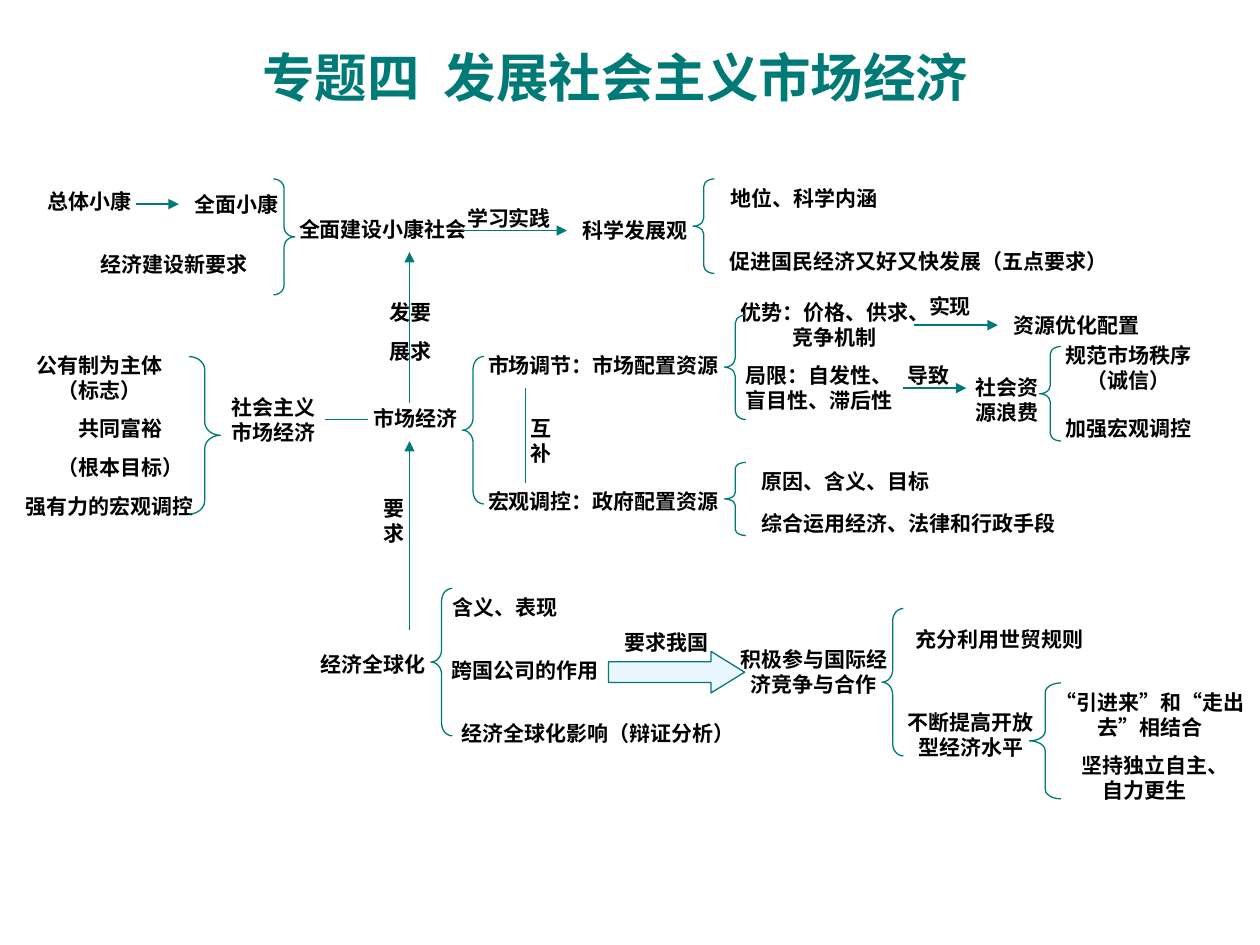
from lxml.etree import SubElement
from pptx import Presentation
from pptx.dml.color import RGBColor
from pptx.enum.shapes import MSO_CONNECTOR, MSO_SHAPE as SHAPE
from pptx.enum.text import MSO_AUTO_SIZE, PP_ALIGN as ALIGN
from pptx.oxml.ns import qn
from pptx.util import Inches, Pt

TEAL = RGBColor(0x00, 0x7A, 0x77)
PALE_BLUE = RGBColor(0xEB, 0xF7, 0xFF)
BLACK = RGBColor(0, 0, 0)
LINE_WIDTH = Pt(0.75)
LEFT_SIDE = 1

TITLE = ("专题四  发展社会主义市场经济", 1.85, 0.31, 6.07, 0.6)

# text, left, top, width
LABELS = [
    # moderately prosperous society
    ("总体小康", 0.25, 1.45, 0.92),
    ("全面小康", 1.42, 1.47, 0.92),
    ("经济建设新要求", 0.67, 1.95, 1.42),
    ("全面建设小康社会", 2.25, 1.67, 1.58),
    ("学习实践", 3.58, 1.58, 0.92),
    ("科学发展观", 4.5, 1.68, 1.08),
    ("地位、科学内涵", 5.67, 1.42, 1.42),
    ("促进国民经济又好又快发展（五点要求）", 5.58, 1.92, 3.42),
    # socialist market economy
    ("强有力的宏观调控", 0.08, 3.87, 1.58),
    ("市场经济", 2.84, 3.17, 0.91),
    ("市场调节：市场配置资源", 3.75, 2.75, 2.08),
    ("宏观调控：政府配置资源", 3.75, 3.83, 2.08),
    ("实现", 7.25, 2.28, 0.58),
    ("资源优化配置", 7.92, 2.43, 1.25),
    ("导致", 7.08, 2.83, 0.58),
    ("加强宏观调控", 8.33, 3.25, 1.25),
    ("原因、含义、目标", 5.92, 3.67, 1.58),
    ("综合运用经济、法律和行政手段", 5.92, 4, 2.58),
    # globalisation
    ("经济全球化", 2.42, 5.12, 1.08),
    ("含义、表现", 3.42, 4.67, 1.17),
    ("跨国公司的作用", 3.42, 5.17, 1.5),
    ("经济全球化影响（辩证分析）", 3.33, 5.67, 2.83),
    ("要求我国", 4.83, 4.95, 0.92),
]
LEFT_ALIGNED_LABEL = ("充分利用世贸规则", 7.17, 4.92, 1.58)

WRAPPED_LABELS = [
    ("公有制为主体（标志）", 0.08, 2.75, 1.42),
    ("社会主义市场经济", 1.67, 3.08, 1),
    ("优势：价格、供求、竞争机制", 5.75, 2.33, 1.75),
    ("局限：自发性、盲目性、滞后性", 5.75, 2.83, 1.5),
    ("社会资源浪费", 7.58, 2.92, 0.83),
    ("规范市场秩序（诚信）", 8.33, 2.67, 1.25),
    ("互补", 4.08, 3.25, 0.42),
    ("要 求", 2.92, 3.88, 0.42),
    ("积极参与国际经济竞争与合作", 5.75, 5.08, 1.42),
    ("不断提高开放型经济水平", 7.08, 5.58, 1.25),
    ("“引进来”和“走出去”相结合", 8.25, 5.42, 1.75),
    ("坚持独立自主、自力更生", 8.42, 5.92, 1.33),
]
TWO_PARAGRAPH_LABELS = [
    ("发要\n展求", 2.92, 2.33, 0.67),
    ("共同富裕\n（根本目标）", 0.25, 3.25, 1.42),
]

# left, top, width, height
LEFT_BRACES = [
    (5.5, 1.42, 0.17, 0.75),
    (3.67, 2.83, 0.17, 1.17),
    (5.75, 2.5, 0.17, 0.83),
    (8.25, 2.75, 0.17, 0.75),
    (5.75, 3.67, 0.17, 0.58),
    (3.42, 4.67, 0.17, 1.17),
    (7, 4.83, 0.17, 1.17),
    (8.17, 5.42, 0.25, 0.92),
]
RIGHT_BRACES = [(2.17, 1.42, 0.17, 0.92), (1.5, 2.83, 0.25, 1.25)]

# from x, from y, to x, to y, label the arrow points at (if it touches one)
ARROWS = [
    (1.08, 1.62, 1.42, 1.62, "全面小康"),
    (3.67, 1.83, 4.5, 1.83, "科学发展观"),
    (7.25, 2.58, 7.92, 2.58, "资源优化配置"),
    (7.17, 3.08, 7.67, 3.08, None),
    (3.25, 3.2, 3.25, 2, None),
    (3.25, 5, 3.25, 3.5, None),
]
PLAIN_LINES = [(2.58, 3.33, 2.92, 3.33), (4.17, 3.08, 4.17, 3.83)]


def add_text(page, text, left, top, width, height, *, size=12,
             font="Times New Roman", color=BLACK, align=ALIGN.CENTER):
    box = page.shapes.add_textbox(*map(Inches, (left, top, width, height)))
    frame = box.text_frame
    frame.word_wrap = True
    frame.auto_size = MSO_AUTO_SIZE.SHAPE_TO_FIT_TEXT
    for index, line in enumerate(text.split("\n")):
        para = frame.add_paragraph() if index else frame.paragraphs[0]
        para.alignment = align
        if index:
            para.space_before = Pt(7.5)
        span = para.add_run()
        span.text = line
        span.font.name = font
        span.font.size = Pt(size)
        span.font.bold = True
        span.font.color.rgb = color
    return box


def add_outlined(page, kind, left, top, width, height):
    shape = page.shapes.add_shape(kind, *map(Inches, (left, top, width, height)))
    shape.shadow.inherit = False
    shape.fill.background()
    shape.line.color.rgb = TEAL
    shape.line.width = LINE_WIDTH
    return shape


def add_brace(page, kind, left, top, width, height):
    """Each curled end takes a twelfth of the brace's height."""
    brace = add_outlined(page, kind, left, top, width, height)
    brace.adjustments[0] = height / width / 12


def add_line(page, *ends, arrow=False, target=None):
    line = page.shapes.add_connector(MSO_CONNECTOR.STRAIGHT, *map(Inches, ends))
    line.line.color.rgb = TEAL
    line.line.width = LINE_WIDTH
    if arrow:
        SubElement(line.line._get_or_add_ln(), qn("a:tailEnd"), type="triangle")
    SubElement(line._element.spPr, qn("a:effectLst"))
    if target is not None:
        line.end_connect(target, LEFT_SIDE)


def main():
    deck = Presentation()
    deck.slide_width, deck.slide_height = Inches(10), Inches(7.5)
    page = deck.slides.add_slide(deck.slide_layouts[6])

    add_text(page, *TITLE, size=30, font="Arial", color=TEAL)

    boxes = {}
    for labels, height in ((LABELS, 0.3), (WRAPPED_LABELS, 0.5),
                           (TWO_PARAGRAPH_LABELS, 0.61)):
        for label in labels:
            boxes[label[0]] = add_text(page, *label, height)
    add_text(page, *LEFT_ALIGNED_LABEL, 0.3, align=ALIGN.LEFT)

    for kind, braces in ((SHAPE.LEFT_BRACE, LEFT_BRACES),
                         (SHAPE.RIGHT_BRACE, RIGHT_BRACES)):
        for brace in braces:
            add_brace(page, kind, *brace)

    for *ends, target in ARROWS:
        add_line(page, *ends, arrow=True, target=boxes.get(target))
    for ends in PLAIN_LINES:
        add_line(page, *ends)

    block_arrow = add_outlined(page, SHAPE.RIGHT_ARROW, 4.83, 5.17, 1.08, 0.33)
    block_arrow.adjustments[1] = 0.81
    block_arrow.fill.solid()
    block_arrow.fill.fore_color.rgb = PALE_BLUE

    deck.save("out.pptx")


if __name__ == "__main__":
    main()
